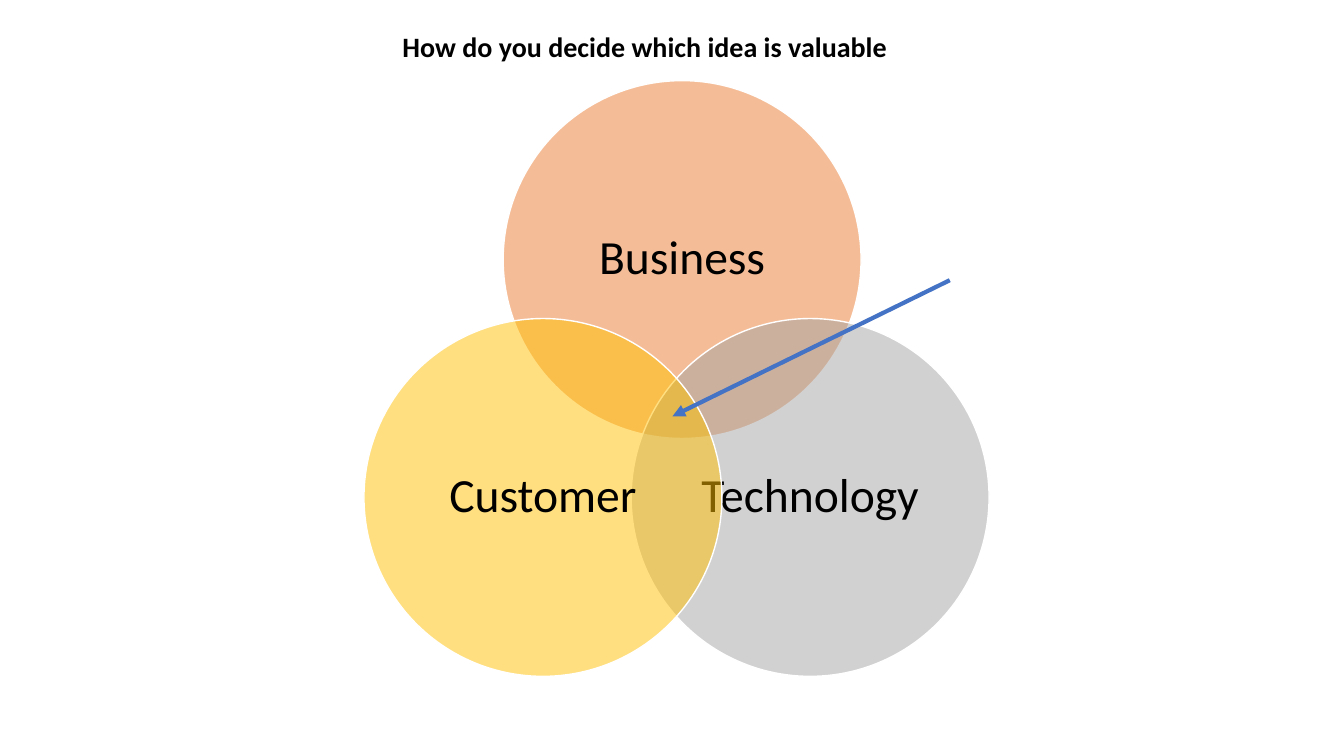
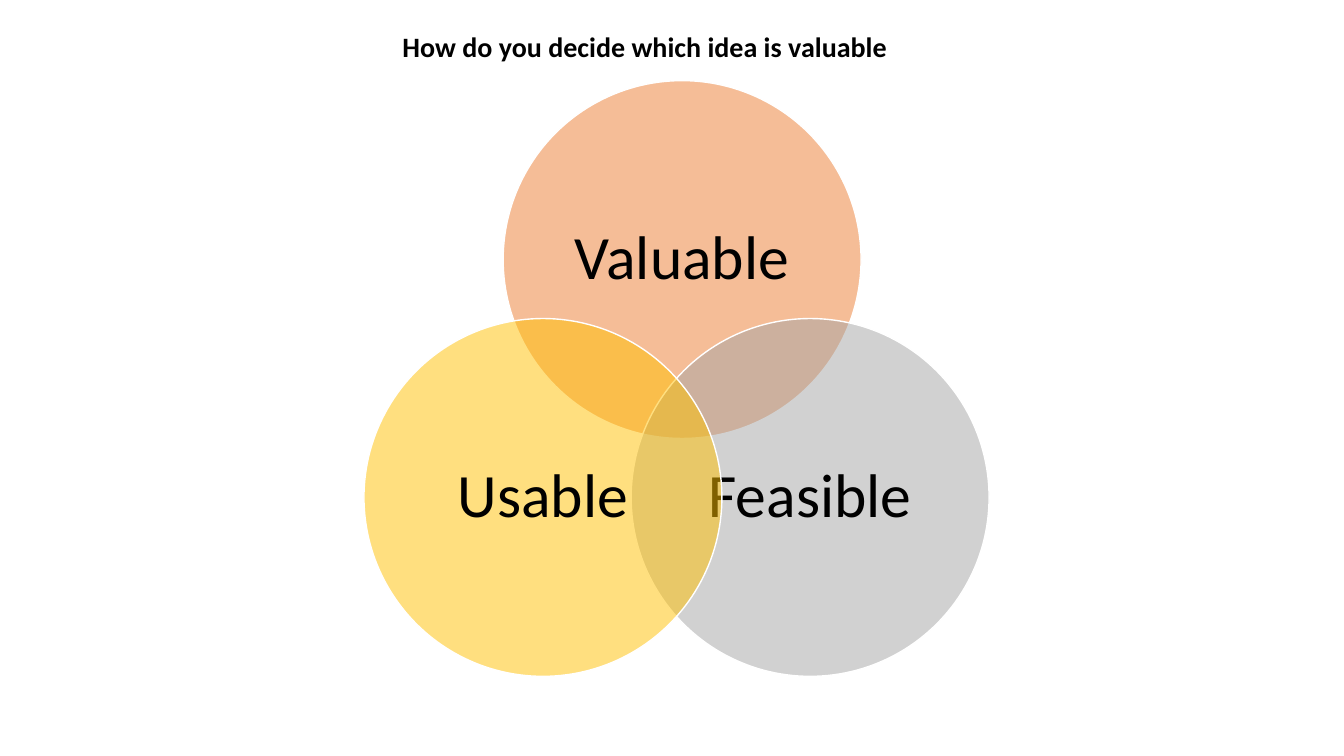
from dataclasses import dataclass

from pptx import Presentation
from pptx import util as u
from pptx.dml.color import RGBColor
from pptx.enum import shapes, text
from pptx.oxml.ns import qn
from lxml import etree

PX = 9144


def px(*lengths):
    return [u.Emu(length * PX) for length in lengths]


@dataclass(frozen=True)
class Theme:
    font: str = "Calibri"
    ink: str = "000000"
    outline: str = "FFFFFF"
    pointer: str = "4472C4"
    circles: tuple = ("ED7D31", "A5A5A5", "FFC000")
    opacity: int = 50
    title_size: int = 20
    business_size: int = 34
    quality_size: int = 44
    outline_width: int = 1
    pointer_width: int = 3


def apply(target, formats):
    for attribute, value in formats.items():
        setattr(target, attribute, value)


class Deck:
    def __init__(self, theme, width, height):
        self.theme = theme
        self.presentation = Presentation()
        slide_width, slide_height = px(width, height)
        apply(self.presentation, {"slide_width": slide_width, "slide_height": slide_height})
        self.slide = None

    def label(self, frame, words, size, frame_format, bold=False, spacing=1.0):
        apply(frame, {"word_wrap": True, **frame_format})
        paragraph = frame.paragraphs[0]
        apply(paragraph, {"alignment": text.PP_ALIGN.CENTER, "line_spacing": spacing})
        run = paragraph.add_run()
        run.text = words
        apply(run.font, {"name": self.theme.font, "size": u.Pt(size), "bold": bold})
        run.font.color.rgb = RGBColor.from_string(self.theme.ink)

    def stroke(self, line, color, width):
        line.color.rgb = RGBColor.from_string(color)
        line.width = u.Pt(width)

    def titled_slide(self, words):
        self.slide = self.presentation.slides.add_slide(self.presentation.slide_layouts[5])
        title = self.slide.shapes.title
        apply(title, dict(zip(("left", "top", "width", "height"), px(194, 24, 891, 44))))
        self.label(title.text_frame, words, self.theme.title_size, {
            "vertical_anchor": text.MSO_ANCHOR.TOP,
            "auto_size": text.MSO_AUTO_SIZE.SHAPE_TO_FIT_TEXT,
        }, bold=True)

    def circle(self, words, color, left, top, diameter, size):
        disc = self.slide.shapes.add_shape(
            shapes.MSO_SHAPE.OVAL, *px(left, top, diameter, diameter))
        disc.shadow.inherit = False
        disc.fill.solid()
        disc.fill.fore_color.rgb = RGBColor.from_string(color)
        tint = disc.element.spPr.find(qn("a:solidFill")).find(qn("a:srgbClr"))
        etree.SubElement(tint, qn("a:alpha")).set("val", str(self.theme.opacity * 1000))
        self.stroke(disc.line, self.theme.outline, self.theme.outline_width)
        inset, = px(14)
        sides = ("left", "top", "right", "bottom")
        self.label(disc.text_frame, words, size, {
            "vertical_anchor": text.MSO_ANCHOR.MIDDLE,
            **{f"margin_{side}": inset for side in sides},
        }, spacing=0.9)

    def venn(self, labels, size):
        corners = ((499, 80), (626, 316), (361, 316))
        for words, color, corner in zip(labels, self.theme.circles, corners):
            self.circle(words, color, *corner, 355, size)

    def arrow(self, start, end):
        pointer = self.slide.shapes.add_connector(
            shapes.MSO_CONNECTOR.STRAIGHT, *px(*start, *end))
        self.stroke(pointer.line, self.theme.pointer, self.theme.pointer_width)
        properties = pointer.element.spPr
        etree.SubElement(properties.find(qn("a:ln")), qn("a:tailEnd")).set("type", "triangle")
        etree.SubElement(properties, qn("a:effectLst"))


def main():
    question = "How do you decide which idea is valuable"
    theme = Theme()
    deck = Deck(theme, 1333, 750)

    deck.titled_slide(question)
    deck.venn(("Business", "Technology", "Customer"), theme.business_size)
    deck.arrow((942, 278), (667, 413))

    deck.titled_slide(question)
    deck.venn(("Valuable", "Feasible", "Usable"), theme.quality_size)

    deck.presentation.save("out.pptx")


if __name__ == "__main__":
    main()
